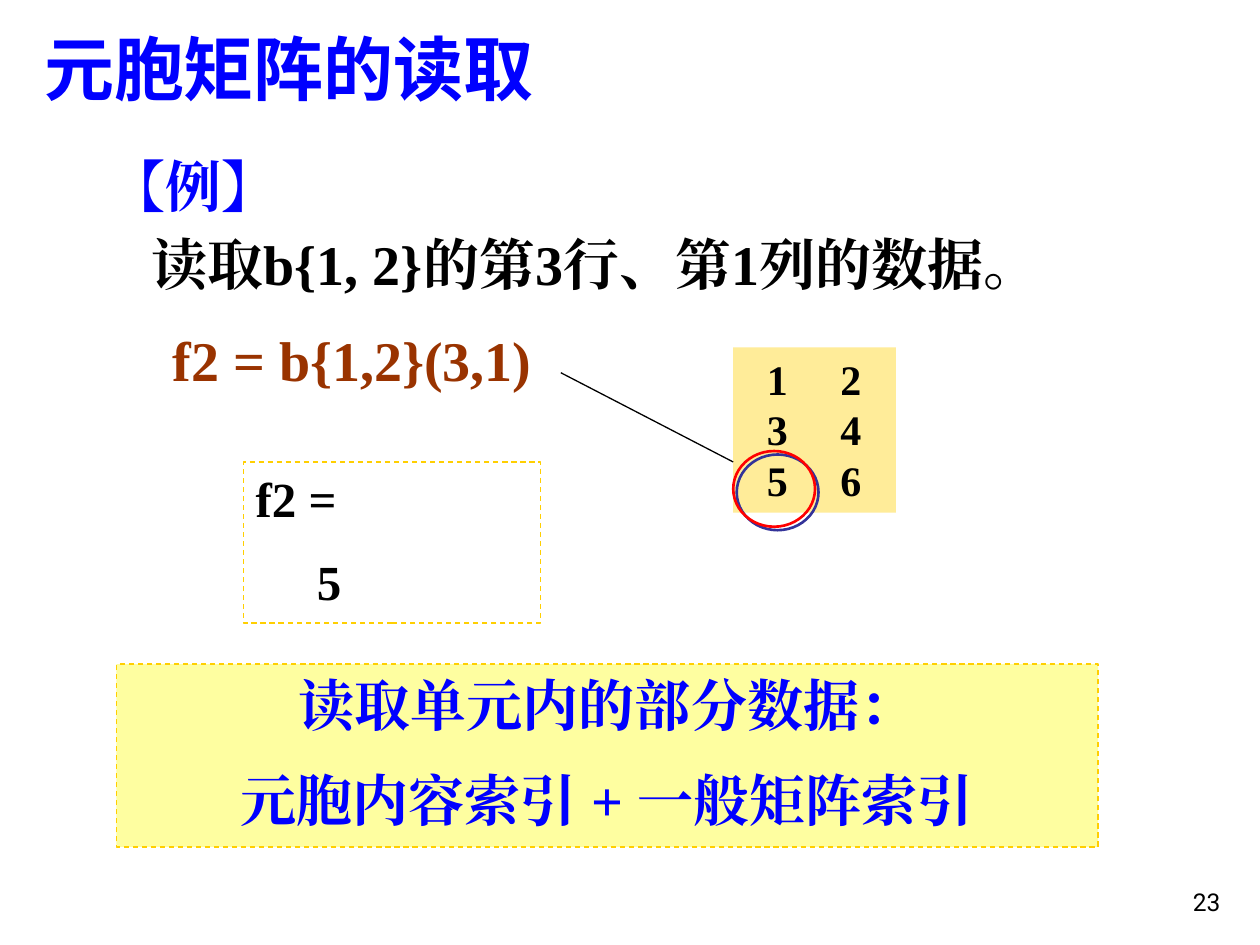
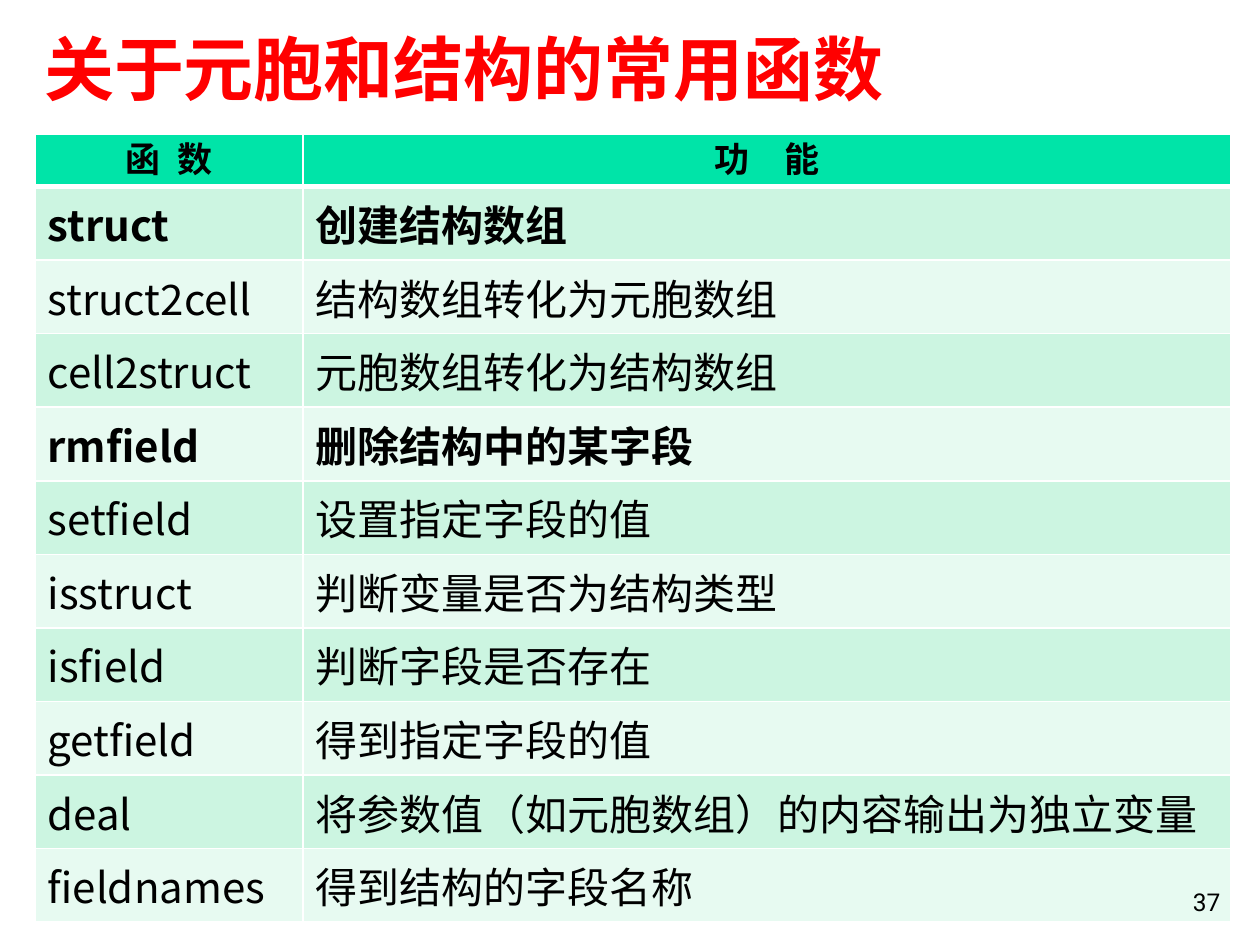
from dataclasses import dataclass
from typing import Any

from lxml.etree import SubElement as Sub
from pptx import Presentation
from pptx.dml.color import RGBColor
from pptx.enum.dml import MSO_LINE as Dash
from pptx.enum.shapes import MSO_CONNECTOR as Conn, MSO_SHAPE as Kind
from pptx.enum.text import MSO_ANCHOR as Anchor, PP_ALIGN as Align
from pptx.oxml.ns import qn
from pptx.util import Pt

# Shared colours and fonts
BLUE, RED, BLACK, WHITE = "0000FF", "FF0000", "000000", "FFFFFF"
BROWN, GOLD, LEMON, SAND = "993300", "FFCF01", "FEFEA0", "FFEC99"
NAVY, GREEN, MINT, PALE = "333399", "00E4A8", "CCF5E1", "E7FAF1"
SERIF, SANS, HAN, DIGIT = "Times New Roman", "Arial", "Noto Sans CJK SC", "Roboto"


def rgb(code):
    return RGBColor.from_string(code)


def put(obj, **vals):
    for name, val in vals.items():
        setattr(obj, name, val)


def font(size, face, color=BLACK, bold=True):
    return {"size": Pt(size), "name": face, "bold": bold, "color": color}


@dataclass
class Deck:
    prs: Any
    slide: Any = None

    def page(self, title, color, number):
        """Start a slide with its title and page number."""
        self.slide = self.prs.slides.add_slide(self.prs.slide_layouts[5])
        head = self.slide.shapes.title
        self.place(head, 18, 0, 687.5, 66)
        self.fill(head.text_frame, [(title, {})], font(40, SANS, color),
                  Anchor.BOTTOM)
        self.text((554.5, 491.5, 150, 36), [(str(number), {"alignment": Align.RIGHT})],
                  font(14, DIGIT, bold=False), Anchor.BOTTOM)

    def place(self, shape, *box):
        put(shape, **dict(zip(("left", "top", "width", "height"), map(Pt, box))))

    def run(self, para, text, style):
        run = para.add_run()
        run.text = text
        put(run.font, **{k: v for k, v in style.items() if k != "color"})
        run.font.color.rgb = rgb(style["color"])
        east = Sub(run._r.get_or_add_rPr(), qn("a:ea"))
        east.set("typeface", style["name"])

    def fill(self, frame, lines, style, anchor=Anchor.TOP):
        """Each line is its text and a dict: indent, color or paragraph values."""
        put(frame, word_wrap=True, vertical_anchor=anchor)
        for i, (text, opts) in enumerate(lines):
            para = frame.add_paragraph() if i else frame.paragraphs[0]
            look = {"alignment": Align.LEFT, **opts}
            indent, color = look.pop("indent", 0), look.pop("color", style["color"])
            put(para, **look)
            if indent:
                para._p.get_or_add_pPr().set("marL", str(Pt(indent)))
            self.run(para, text, {**style, "color": color})

    def text(self, box, lines, style, anchor=Anchor.TOP):
        area = self.slide.shapes.add_textbox(*map(Pt, box))
        self.fill(area.text_frame, lines, style, anchor)

    def shape(self, kind, box, back=None, edge=None, width=0.75, dash=None):
        item = self.slide.shapes.add_shape(kind, *map(Pt, box))
        item.shadow.inherit = False
        if back:
            item.fill.solid()
            item.fill.fore_color.rgb = rgb(back)
        else:
            item.fill.background()
        if edge:
            item.line.color.rgb = rgb(edge)
            put(item.line, width=Pt(width), dash_style=dash)
        else:
            item.line.fill.background()
        return item

    def ring(self, box, edge, shade):
        item = self.shape(Kind.OVAL, box, edge=edge, width=1.5)
        effect = item.element.spPr.find(qn("a:effectLst"))
        cast = Sub(effect, qn("a:outerShdw"), dist=str(Pt(2.8)),
                   dir=str(45 * 60000), algn="ctr", rotWithShape="0")
        Sub(cast, qn("a:srgbClr"), val=shade)

    def line(self, *ends):
        item = self.slide.shapes.add_connector(Conn.STRAIGHT, *map(Pt, ends))
        item.line.color.rgb = rgb(BLACK)
        item.line.width = Pt(0.75)
        Sub(item.element.spPr, qn("a:effectLst"))

    def cell(self, cell, text, style, back, align, base=1):
        for side in "LRTB":
            width = base if side == "B" else 1
            edge = Sub(cell._tc.get_or_add_tcPr(), qn("a:ln" + side),
                       w=str(Pt(width)))
            Sub(Sub(edge, qn("a:solidFill")), qn("a:srgbClr"), val=WHITE)
        cell.fill.solid()
        cell.fill.fore_color.rgb = rgb(back)
        para = cell.text_frame.paragraphs[0]
        para.alignment = align
        self.run(para, text, style)

    def table(self, spot, widths, high, heads, rows, strong):
        count = len(rows) + 1
        grid = self.slide.shapes.add_table(
            count, len(widths), *map(Pt, (*spot, sum(widths), high * count))).table
        grid.horz_banding = False
        for col, width in zip(grid.columns, widths):
            col.width = Pt(width)
        for row in grid.rows:
            row.height = Pt(high)
        for c, text in enumerate(heads):
            self.cell(grid.cell(0, c), text, font(20, SANS), GREEN, Align.CENTER, 3)
        for r, row in enumerate(rows, 1):
            style = font(24, HAN, bold=row[0] in strong)
            for c, text in enumerate(row):
                self.cell(grid.cell(r, c), text, style, MINT if r % 2 else PALE,
                          Align.LEFT)


prs = Presentation()
put(prs, slide_width=Pt(720), slide_height=Pt(540))
deck = Deck(prs)

# Slide 1: reading part of a cell
deck.page("元胞矩阵的读取", BLUE, 23)
big, mid = font(32, SERIF), font(28, SERIF)
deck.text((55.5, 83, 612, 324), [
    ("【例】", {"color": BLUE, "space_before": Pt(6.4)}),
    ("读取b{1, 2}的第3行、第1列的数据。", {"indent": 24, "space_before": Pt(6.4)}),
    ("f2 = b{1,2}(3,1)", {"indent": 36, "color": BROWN, "space_before": Pt(16)}),
], big)

# Result and rule boxes
answer = deck.shape(Kind.RECTANGLE, (139, 264, 170, 92), None, GOLD, dash=Dash.DASH)
deck.fill(answer.text_frame, [
    ("f2 =", {}), ("5", {"indent": 35, "space_before": Pt(14)})], mid)
rule = deck.shape(Kind.RECTANGLE, (66.5, 379.5, 561, 104.5), LEMON, GOLD,
                  dash=Dash.DASH)
deck.fill(rule.text_frame, [
    (text, {"alignment": Align.CENTER, "space_before": Pt(16)})
    for text in ("读取单元内的部分数据：", "元胞内容索引 + 一般矩阵索引")],
    font(32, SERIF, BLUE))

# Matrix with the chosen value ringed
matrix = deck.shape(Kind.RECTANGLE, (419, 198.5, 93, 94.5), SAND)
matrix.text_frame.margin_left = Pt(19.2)
deck.fill(matrix.text_frame, [(f"{n}\t{n + 1}", {}) for n in (1, 3, 5)],
          font(24, SERIF))
for para in matrix.text_frame.paragraphs:
    tabs = Sub(para._p.get_or_add_pPr(), qn("a:tabLst"))
    Sub(tabs, qn("a:tab"), pos=str(Pt(42)), algn="l")
deck.ring((419, 257.75, 46.75, 43.25), RED, NAVY)
deck.line(320.5, 213, 419, 264)

# Slide 2: function list
deck.page("关于元胞和结构的常用函数", RED, 37)
deck.table((20, 77), (153.25, 530), 29.6, ("函\u2002数", "功\u3000能"), [
    ("struct", "创建结构数组"),
    ("struct2cell", "结构数组转化为元胞数组"),
    ("cell2struct", "元胞数组转化为结构数组"),
    ("rmfield", "删除结构中的某字段"),
    ("setfield", "设置指定字段的值"),
    ("isstruct", "判断变量是否为结构类型"),
    ("isfield", "判断字段是否存在"),
    ("getfield", "得到指定字段的值"),
    ("deal", "将参数值（如元胞数组）的内容输出为独立变量"),
    ("fieldnames", "得到结构的字段名称"),
], {"struct", "rmfield"})
# Bring the page number in front of the table
tree = deck.slide.shapes
tree.element.append(tree[1].element)

prs.save("out.pptx")
